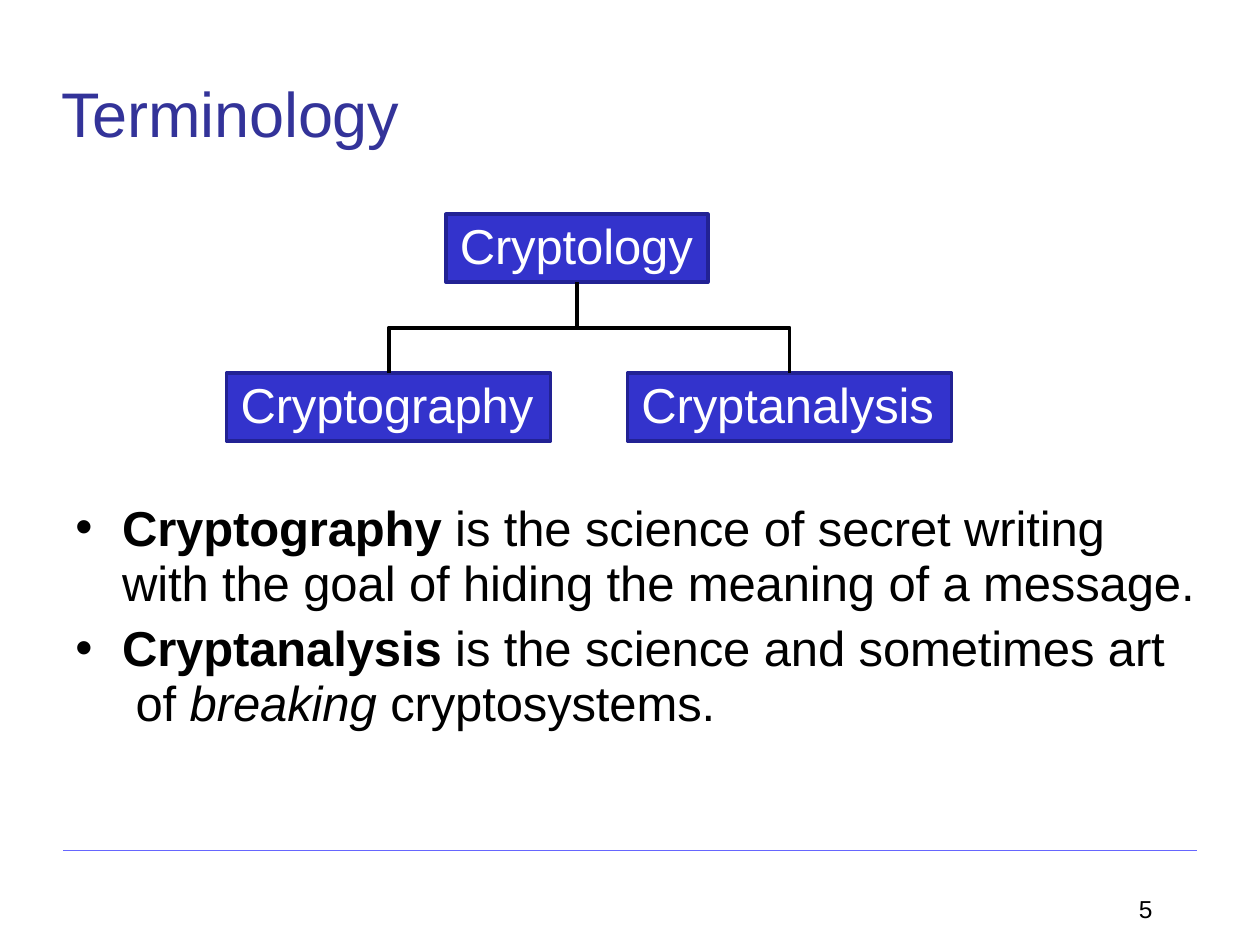
from pptx import Presentation
from pptx.util import Cm, Pt
from pptx.dml.color import RGBColor
from pptx.enum.shapes import MSO_SHAPE, MSO_CONNECTOR
from pptx.enum.text import PP_ALIGN, MSO_ANCHOR, MSO_AUTO_SIZE
from pptx.oxml.ns import qn
from lxml import etree

COLORS = {"title": "333399", "text": "000000", "box": "3333CC",
          "border": "222294", "white": "FFFFFF", "rule": "6666FF"}


def rgb(name):
    return RGBColor.from_string(COLORS[name])


def add_run(p, text, size, color, bold=False, italic=False, spacing=0):
    r = p.add_run()
    r.text = text
    f = r.font
    f.name, f.size, f.bold, f.italic = "Arial", Pt(size), bold, italic
    f.color.rgb = rgb(color)
    if spacing:
        r._r.get_or_add_rPr().set("spc", str(spacing))


prs = Presentation()
prs.slide_width, prs.slide_height = Cm(25.4), Cm(19.05)
s = prs.slides.add_slide(prs.slide_layouts[1])
title, body = s.shapes.title, s.placeholders[1]
number = s.shapes.add_textbox(Cm(22.86), Cm(18.03), Cm(0.76), Cm(0.64))

title.left, title.top, title.width, title.height = Cm(1.24), Cm(1.47), Cm(8), Cm(1.6)
body.left, body.top, body.width, body.height = Cm(1.47), Cm(9.98), Cm(22.9), Cm(4.78)

for sp, inset in ((title, 0.03), (body, 0.13), (number, 0)):
    tf = sp.text_frame
    tf.margin_left = tf.margin_right = tf.margin_bottom = 0
    tf.margin_top = Cm(inset)
    tf.word_wrap = True
    tf.auto_size = MSO_AUTO_SIZE.NONE
    tf.vertical_anchor = MSO_ANCHOR.TOP

p = title.text_frame.paragraphs[0]
p.alignment = PP_ALIGN.LEFT
add_run(p, "Terminology", 36, "title", spacing=-10)

p = number.text_frame.paragraphs[0]
p.alignment = PP_ALIGN.LEFT
p.line_spacing = Pt(16.5)
pPr = p._p.get_or_add_pPr()
pPr.set("marL", str(Cm(0.1)))
add_run(p, "5", 14, "text")

definitions = [
    [("Cryptography ", True, False), ("is the science of secret writing", False, False),
     None, ("with the goal of hiding the meaning of a message.", False, False)],
    [("Cryptanalysis ", True, False), ("is the science and sometimes art", False, False),
     None, (" of ", False, False), ("breaking ", False, True),
     ("cryptosystems.", False, False)],
]
tf = body.text_frame
for i, parts in enumerate(definitions):
    p = tf.add_paragraph() if i else tf.paragraphs[0]
    pPr = p._p.get_or_add_pPr()
    pPr.set("marL", str(Cm(0.99)))
    pPr.set("indent", str(-Cm(0.94)))
    etree.SubElement(pPr, qn("a:buFont")).set("typeface", "Arial")
    etree.SubElement(pPr, qn("a:buChar")).set("char", "•")
    p.alignment = PP_ALIGN.LEFT
    p.line_spacing = Pt(31.4)
    p.space_before = Pt(5.8 if i else 0)
    for part in parts:
        if part is None:
            p.add_line_break()
        else:
            text, bold, italic = part
            add_run(p, text, 28, "text", bold, italic, -5)

box_h = 1.37
top_y, child_y = 4.32, 7.52
boxes = [("Cryptology", 8.99, top_y, 5.28),
         ("Cryptography", 4.57, child_y, 6.53),
         ("Cryptanalysis", 12.65, child_y, 6.53)]
for text, x, y, w in boxes:
    sp = s.shapes.add_shape(MSO_SHAPE.RECTANGLE, Cm(x), Cm(y), Cm(w), Cm(box_h))
    sp.shadow.inherit = False
    sp.fill.solid()
    sp.fill.fore_color.rgb = rgb("box")
    sp.line.color.rgb = rgb("border")
    sp.line.width = Pt(2.04)
    tf = sp.text_frame
    tf.margin_left, tf.margin_top = Cm(0.28), Cm(0.03)
    tf.margin_right = tf.margin_bottom = 0
    tf.word_wrap = False
    tf.vertical_anchor = MSO_ANCHOR.TOP
    p = tf.paragraphs[0]
    p.alignment = PP_ALIGN.LEFT
    add_run(p, text, 28, "white", spacing=-5)

root_x = boxes[0][1] + boxes[0][3] / 2
root_y = top_y + box_h
mid_y = (root_y + child_y) / 2
for text, x, y, w in boxes[1:]:
    child_x = x + w / 2
    fb = s.shapes.build_freeform(Cm(root_x), Cm(root_y))
    fb.add_line_segments([(Cm(root_x), Cm(mid_y)), (Cm(child_x), Cm(mid_y)),
                          (Cm(child_x), Cm(child_y))], close=False)
    sp = fb.convert_to_shape()
    sp.shadow.inherit = False
    sp.fill.background()
    sp.line.color.rgb = rgb("text")
    sp.line.width = Pt(2.28)

rule = s.shapes.add_connector(MSO_CONNECTOR.STRAIGHT, Cm(1.27), Cm(17.15), Cm(24.13), Cm(17.15))
rule.line.color.rgb = rgb("rule")
rule.line.width = Pt(0.72)
etree.SubElement(rule._element.spPr, qn("a:effectLst"))

prs.save("out.pptx")
